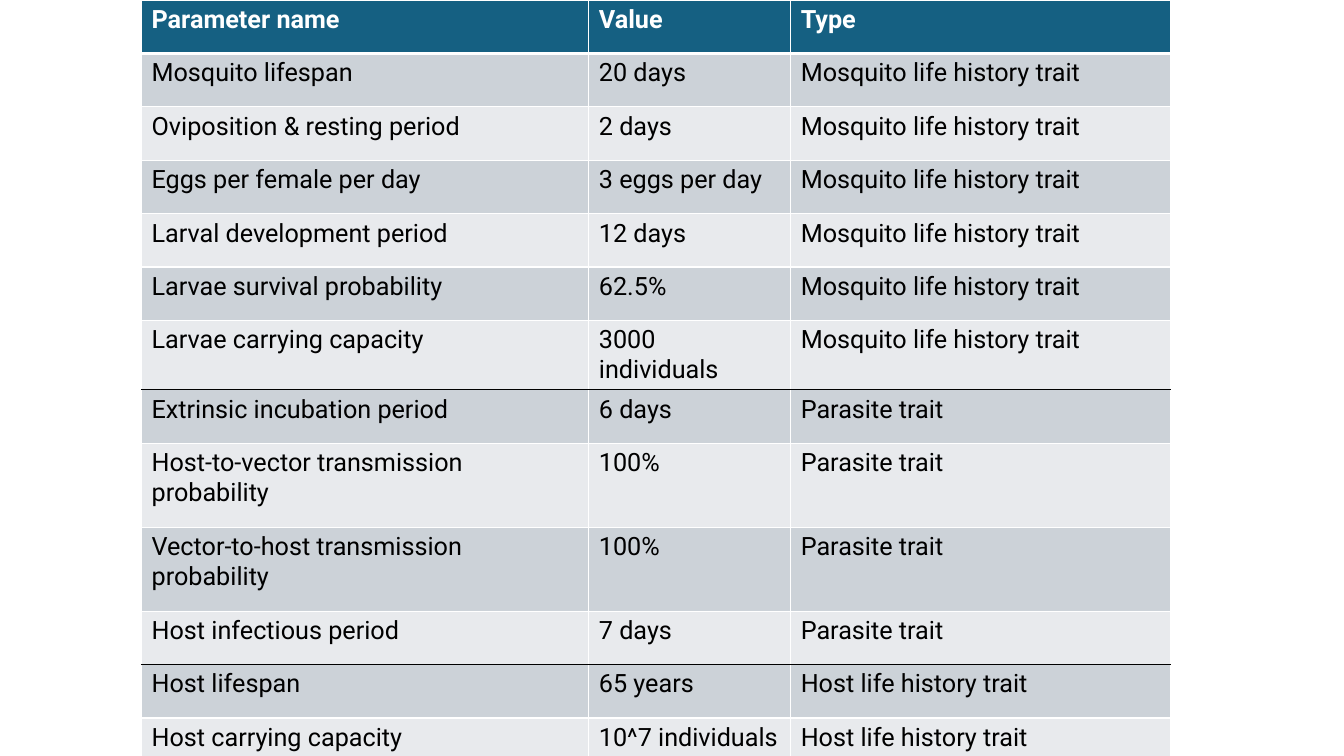
"""Build a slide with a table of mosquito, parasite and host parameters."""
from lxml.etree import SubElement
from pptx import Presentation
from pptx.dml.color import RGBColor
from pptx.oxml.ns import qn
from pptx.util import Pt

HEADER = ("Parameter name", "Value", "Type")
GROUPS = [
    ("Mosquito life history trait", [
        ("Mosquito lifespan", "20 days"),
        ("Oviposition & resting period", "2 days"),
        ("Eggs per female per day", "3 eggs per day"),
        ("Larval development period", "12 days"),
        ("Larvae survival probability", "62.5%"),
        ("Larvae carrying capacity", "3000 individuals"),
    ]),
    ("Parasite trait", [
        ("Extrinsic incubation period", "6 days"),
        ("Host-to-vector transmission probability", "100%"),
        ("Vector-to-host transmission probability", "100%"),
        ("Host infectious period", "7 days"),
    ]),
    ("Host life history trait", [
        ("Host lifespan", "65 years"),
        ("Host carrying capacity", "10^7 individuals"),
    ]),
]

WHITE = RGBColor(0xFF, 0xFF, 0xFF)
BLACK = RGBColor(0, 0, 0)
TEAL = RGBColor(0x15, 0x60, 0x82)
DARK_BAND = RGBColor(0xCC, 0xD2, 0xD8)
LIGHT_BAND = RGBColor(0xE8, 0xEA, 0xED)

FONT, SIZE = "Roboto", 18
LEFT, TOP = 101.1, 0
COL_WIDTHS = (319.5, 144.2, 271.3)
ROW_HEIGHT, TALL_ROW = 38.16, 60
THIN, THICK = 1, 3


def set_border(cell, side, color, width):
    """Draw one edge of a table cell."""
    tc_pr = cell._tc.get_or_add_tcPr()
    ln = SubElement(tc_pr, qn(f"a:ln{side}"), w=str(Pt(width)))
    fill = SubElement(ln, qn("a:solidFill"))
    SubElement(fill, qn("a:srgbClr"), val=str(color))


def edge_below(rows, i):
    """Return the colour and width of the line under row i."""
    if i == 0:
        return WHITE, THICK
    if 0 < i < len(rows) - 1 and rows[i][2] != rows[i + 1][2]:
        return BLACK, THIN
    return WHITE, THIN


def main():
    """Create and save the slide."""
    rows = [HEADER] + [(name, value, kind)
                       for kind, items in GROUPS for name, value in items]
    heights = [TALL_ROW if "transmission" in row[0] else ROW_HEIGHT
               for row in rows]

    prs = Presentation()
    prs.slide_width, prs.slide_height = Pt(960), Pt(540)
    s = prs.slides.add_slide(prs.slide_layouts[6])
    table = s.shapes.add_table(len(rows), len(HEADER), Pt(LEFT), Pt(TOP),
                               Pt(sum(COL_WIDTHS)), Pt(sum(heights))).table
    for col, width in zip(table.columns, COL_WIDTHS):
        col.width = Pt(width)

    for i, row in enumerate(rows):
        table.rows[i].height = Pt(heights[i])
        band = TEAL if i == 0 else DARK_BAND if i % 2 else LIGHT_BAND
        edges = {"L": (WHITE, THIN), "R": (WHITE, THIN),
                 "T": edge_below(rows, i - 1), "B": edge_below(rows, i)}
        for j, text in enumerate(row):
            cell = table.cell(i, j)
            for side, (color, width) in edges.items():
                set_border(cell, side, color, width)
            cell.fill.solid()
            cell.fill.fore_color.rgb = band
            r = cell.text_frame.paragraphs[0].add_run()
            r.text = text
            r.font.name, r.font.size = FONT, Pt(SIZE)
            r.font.bold = i == 0
            r.font.color.rgb = WHITE if i == 0 else BLACK

    prs.save("out.pptx")


if __name__ == "__main__":
    main()
